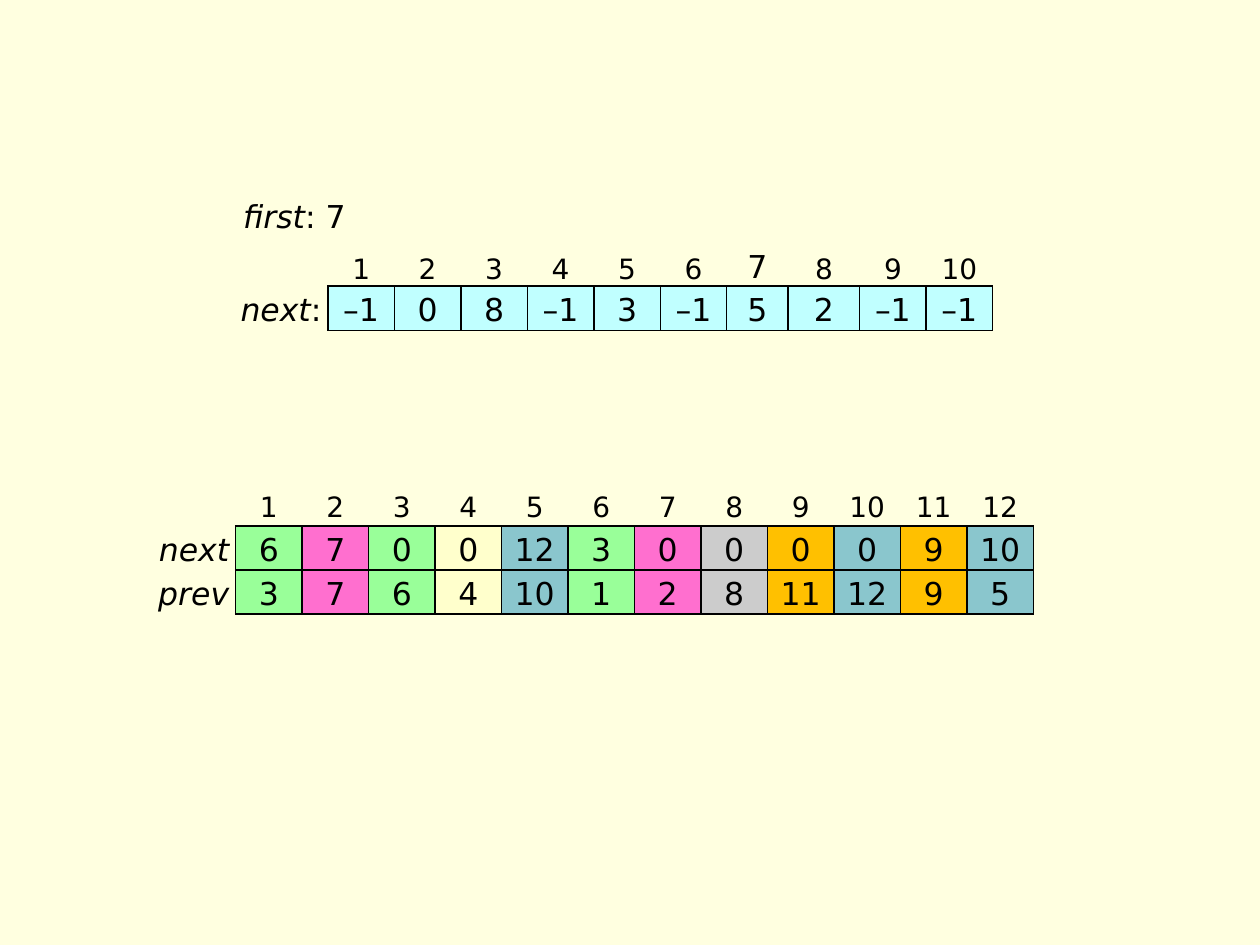
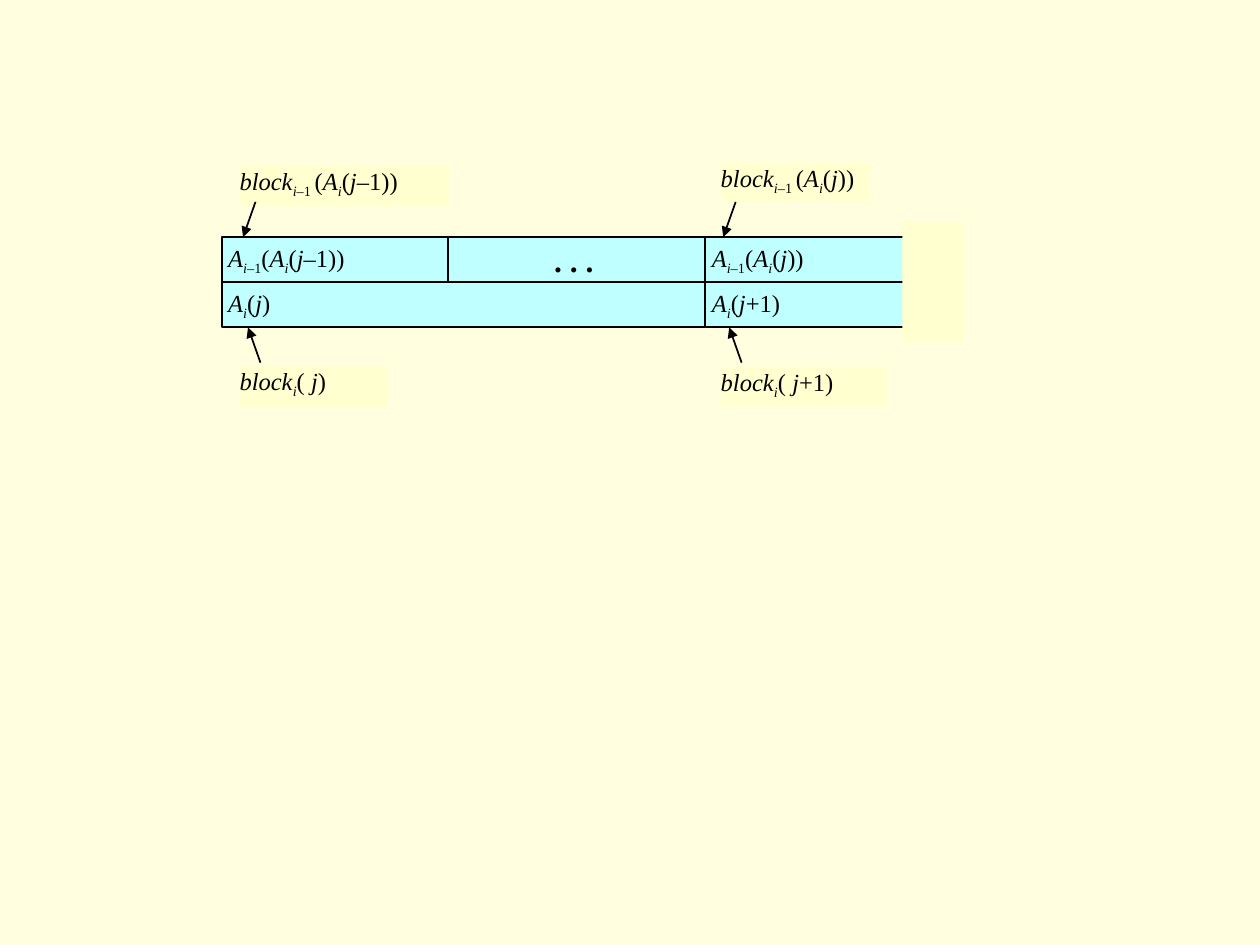
from itertools import groupby

from lxml.etree import SubElement
from pptx import Presentation
from pptx.dml.color import RGBColor
from pptx.enum.shapes import MSO_CONNECTOR as CONNECTOR, MSO_SHAPE as SHAPE
from pptx.enum.text import MSO_ANCHOR as ANCHOR, PP_ALIGN as ALIGN
from pptx.oxml.ns import qn
from pptx.util import Cm, Pt

SANS, SERIF = "DejaVu Sans", "Times New Roman"
PAPER, LABEL, CYAN, BLACK = "FFFFE0", "FFFFD0", "C0FFFF", "000000"
GREEN, PINK, CREAM = "99FF99", "FF6FCF", "FFFFCC"
TEAL, GREY, ORANGE = "8AC6CD", "CCCCCC", "FFC000"
PLAIN_TABLE = "{2D5ABB26-0587-4C30-8999-92F81FD0307C}"
LABEL_COL, NUMBER_COL, ROW = 1.96, 1.34, 0.89
TOP, BLOCK_H = 4.78, 0.91


def rgb(hex_color):
    return RGBColor.from_string(hex_color)


def paint(fill, color):
    if color:
        fill.solid()
        fill.fore_color.rgb = rgb(color)
    else:
        fill.background()


def write_math(p, text, font, size, align=ALIGN.LEFT, bold=None):
    """Write letters in italics and the rest upright; _x_ is a subscript."""
    p.alignment = align
    p._p.get_or_add_endParaRPr().set("sz", str(size * 100))
    for n, part in enumerate(text.split("_")):
        sub = n % 2 == 1
        for italic, chars in groupby(
                part, lambda ch: ch.isalpha() or (sub and ch == "–")):
            r = p.add_run()
            r.text = "".join(chars)
            look = {"name": font, "size": Pt(size), "italic": italic, "bold": bold}
            for key, value in look.items():
                setattr(r.font, key, value)
            r.font.color.rgb = rgb(BLACK)
            if sub:
                r._r.get_or_add_rPr().set("baseline", "-25000")


def set_format(target, **values):
    for key, value in values.items():
        setattr(target, key, value)


def add_borders(cell, sides):
    tc_pr = cell._tc.get_or_add_tcPr()
    for side in sides:
        ln = SubElement(tc_pr, qn(f"a:ln{side}"), w=str(Pt(1)))
        solid = SubElement(ln, qn("a:solidFill"))
        SubElement(solid, qn("a:srgbClr"), val=BLACK)


def add_array(slide, left, top, rows, widths, heights, body_fills,
              head_fill=None, head_anchor=ANCHOR.TOP, sizes=None):
    """Add a table of index numbers over labelled rows of values."""
    sizes = sizes or {}
    frame = slide.shapes.add_table(len(rows), len(widths), Cm(left), Cm(top),
                                   Cm(sum(widths)), Cm(sum(heights)))
    frame._element.find(".//" + qn("a:tableStyleId")).text = PLAIN_TABLE
    table = frame.table
    set_format(table, first_row=False, horz_banding=False)
    for column, width in zip(table.columns, widths):
        column.width = Cm(width)
    for row, height in zip(table.rows, heights):
        row.height = Cm(height)
    for i, texts in enumerate(rows):
        for j, text in enumerate(texts):
            cell = table.cell(i, j)
            head, label = i == 0, j == 0
            set_format(cell, margin_left=Cm(0.13), margin_right=Cm(0.13),
                       margin_top=Cm(0.13), margin_bottom=0,
                       vertical_anchor=head_anchor if head else ANCHOR.TOP)
            write_math(cell.text_frame.paragraphs[0], text, SANS,
                       sizes.get((i, j), 16 if head else 18),
                       ALIGN.RIGHT if label else ALIGN.CENTER)
            if head:
                add_borders(cell, "" if label else "B")
            else:
                add_borders(cell, "R" if label else "LRTB")
            paint(cell.fill, head_fill if head or label else body_fills[j - 1])


def add_box(slide, left, top, width, height, fill, line=None):
    sp = slide.shapes.add_shape(SHAPE.RECTANGLE, Cm(left), Cm(top),
                                Cm(width), Cm(height))
    sp.shadow.inherit = False
    paint(sp.fill, fill)
    paint(sp.line.fill, line)
    if line:
        sp.line.width = Pt(1)
    return sp


def add_block(slide, left, row, width, text, size=14, align=ALIGN.LEFT, bold=None):
    """Add one outlined block in the given row of the diagram."""
    sp = add_box(slide, left, TOP + row * BLOCK_H, width, BLOCK_H, CYAN, BLACK)
    tf = sp.text_frame
    set_format(tf, margin_left=Cm(0.13), margin_top=Cm(0.13),
               margin_bottom=Cm(0.13), word_wrap=False,
               vertical_anchor=ANCHOR.MIDDLE)
    write_math(tf.paragraphs[0], text, SERIF, size, align, bold)


def add_label(slide, left, top, width, height, text):
    tf = add_box(slide, left, top, width, height, LABEL).text_frame
    set_format(tf, margin_left=0, margin_right=0, margin_top=0, margin_bottom=0,
               word_wrap=False, vertical_anchor=ANCHOR.TOP)
    write_math(tf.paragraphs[0], text, SERIF, 14)


def add_arrow(slide, tip_x, tip_y, rise):
    """Add a slanted arrow that starts rise below its tip (above if negative)."""
    line = slide.shapes.add_connector(CONNECTOR.STRAIGHT, Cm(tip_x + 0.25),
                                      Cm(tip_y + rise), Cm(tip_x), Cm(tip_y))
    line.line.width = Pt(1)
    line.line.color.rgb = rgb(BLACK)
    SubElement(line.line._get_or_add_ln(), qn("a:tailEnd"), type="triangle")
    SubElement(line._element.spPr, qn("a:effectLst"))


def numbered_head(count):
    return [""] + [str(n) for n in range(1, count + 1)]


def build_lists(slide):
    widths = [LABEL_COL] + [NUMBER_COL] * 10
    widths[7:9] = [NUMBER_COL - 0.1, NUMBER_COL + 0.1]
    add_array(slide, 4.65, 4.88,
              [numbered_head(10), ["next:"] + "–1 0 8 –1 3 –1 5 2 –1 –1".split()],
              widths, [ROW] * 2, [CYAN] * 10, PAPER, ANCHOR.BOTTOM, {(0, 7): 18})
    add_array(slide, 2.79, 9.78,
              [numbered_head(12),
               "next 6 7 0 0 12 3 0 0 0 0 9 10".split(),
               "prev 3 7 6 4 10 1 2 8 11 12 9 5".split()],
              [LABEL_COL] + [NUMBER_COL] * 12, [0.81, ROW, ROW],
              [GREEN, PINK, GREEN, CREAM, TEAL, GREEN,
               PINK, GREY, ORANGE, TEAL, ORANGE, TEAL])
    box = slide.shapes.add_textbox(Cm(4.65), Cm(3.84), Cm(3.02), Cm(1.04))
    box.text_frame.word_wrap = True
    write_math(box.text_frame.paragraphs[0], "first: 7", SANS, 18)


def build_blocks(slide):
    x1, x2, x3, right_w = 4.47, 9.04, 14.22, 4.88
    add_block(slide, x3, 1, right_w, "A_i_(j+1)")
    add_block(slide, x3, 0, right_w, "A_i–1_(A_i_(j))")
    add_box(slide, 18.19, 4.47, 1.22, 2.44, LABEL)  # hides the open right end
    add_block(slide, x1, 0, x2 - x1, "A_i–1_(A_i_(j–1))")
    add_block(slide, x2, 0, x3 - x2, ". . .", 18, ALIGN.CENTER, True)
    add_block(slide, x1, 1, x3 - x1, "A_i_(j)")

    add_label(slide, 4.83, 3.35, 4.22, 0.81, "block_i–1 _(A_i_(j–1))")
    add_label(slide, 14.53, 3.28, 3.02, 0.79, "block_i–1 _(A_i_(j))")
    add_label(slide, 4.83, 7.37, 2.97, 0.86, "block_i_( j)")
    add_label(slide, 14.53, 7.39, 3.35, 0.81, "block_i_( j+1)")

    bottom = TOP + 2 * BLOCK_H
    for above_x, below_x in ((4.9, 5.0), (14.58, 14.7)):
        add_arrow(slide, above_x, TOP, -0.71)
        add_arrow(slide, below_x, bottom, 0.71)


def main():
    prs = Presentation()
    prs.slide_width, prs.slide_height = Cm(25.4), Cm(19.05)
    paint(prs.slide_master.background.fill, PAPER)
    blank = prs.slide_layouts[6]
    for build in (build_lists, build_blocks):
        build(prs.slides.add_slide(blank))
    prs.save("out.pptx")


if __name__ == "__main__":
    main()
